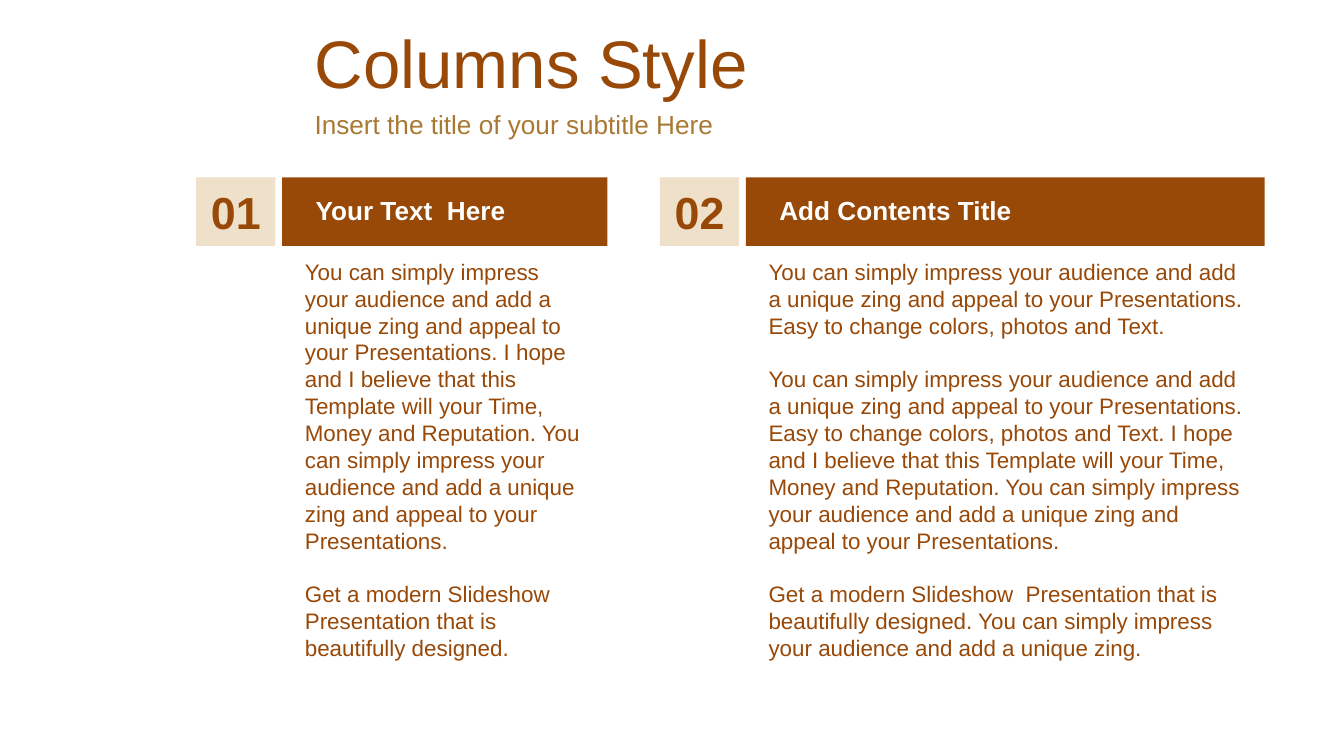
from pptx import Presentation
from pptx.dml.color import RGBColor
from pptx.enum.shapes import MSO_SHAPE
from pptx.enum.text import MSO_ANCHOR, MSO_AUTO_SIZE, PP_ALIGN
from pptx.util import Inches, Pt

RECTANGLE = MSO_SHAPE.RECTANGLE
TOP, MIDDLE = MSO_ANCHOR.TOP, MSO_ANCHOR.MIDDLE
LEFT, CENTER = PP_ALIGN.LEFT, PP_ALIGN.CENTER
NO_AUTOFIT = MSO_AUTO_SIZE.NONE

COLORS = {"brown": "984807", "gold": "A97933", "cream": "EFE0CA", "white": "FFFFFF"}
FONT = "Arial"
BAND_HEIGHT = 0.51
NUMBER_WIDTH = 0.59
BAR_OFFSET = 0.64

IMPRESS = ("You can simply impress your audience and add a unique zing "
           "and appeal to your Presentations.")
EASY = "Easy to change colors, photos and Text."
HOPE = "I hope and I believe that this Template will your Time, Money and Reputation."
MODERN = "Get a modern Slideshow  Presentation that is beautifully designed."
ZING = "You can simply impress your audience and add a unique zing."

COLUMNS = [
    {"left": 1.46, "bar_width": 2.42, "heading_width": 2.13, "body_width": 2.28,
     "number": "01", "heading": "Your Text  Here",
     "body": [f"{IMPRESS} {HOPE} {IMPRESS}", MODERN]},
    {"left": 4.91, "bar_width": 3.86, "heading_width": 2.59, "body_width": 3.78,
     "number": "02", "heading": "Add Contents Title",
     "body": [f"{IMPRESS} {EASY}", f"{IMPRESS} {EASY} {HOPE} {IMPRESS}",
              f"{MODERN} {ZING}"]},
]


def rgb(name):
    return RGBColor.from_string(COLORS[name])


def write(shape, paragraphs, size, color, bold=False, align=LEFT, anchor=TOP, gap=0):
    """Fill a shape with paragraphs, gap points apart."""
    frame = shape.text_frame
    frame.text = "\n".join(paragraphs)
    frame.word_wrap = True
    frame.auto_size = NO_AUTOFIT
    frame.vertical_anchor = anchor
    for index, paragraph in enumerate(frame.paragraphs):
        paragraph.alignment = align
        paragraph.space_before = Pt(gap if index else 0)
        for run in paragraph.runs:
            run.font.name = FONT
            run.font.size = Pt(size)
            run.font.bold = bold
            run.font.color.rgb = rgb(color)


def place(shape, left, top, width, height):
    shape.left, shape.top = Inches(left), Inches(top)
    shape.width, shape.height = Inches(width), Inches(height)


def add_block(slide, left, top, width, color):
    block = slide.shapes.add_shape(RECTANGLE, Inches(left), Inches(top),
                                   Inches(width), Inches(BAND_HEIGHT))
    block.shadow.inherit = False
    block.fill.solid()
    block.fill.fore_color.rgb = rgb(color)
    block.line.fill.background()
    return block


def add_text(slide, left, top, width, height):
    return slide.shapes.add_textbox(Inches(left), Inches(top),
                                    Inches(width), Inches(height))


def add_header(slide, left, top, width):
    title, subtitle = slide.placeholders
    place(title, left, top, width, 0.63)
    write(title, ["Columns Style"], 36, "brown", anchor=MIDDLE)
    place(subtitle, left, top + 0.63, width, 0.31)
    write(subtitle, ["Insert the title of your subtitle Here"], 14, "gold", anchor=MIDDLE)


def add_column(slide, column, top):
    left = column["left"]
    add_block(slide, left + BAR_OFFSET, top, column["bar_width"], "brown")
    number = add_block(slide, left, top, NUMBER_WIDTH, "cream")
    write(number, [column["number"]], 24, "brown", bold=True, align=CENTER, anchor=MIDDLE)
    heading = add_text(slide, left + 0.79, top + 0.08, column["heading_width"], 0.34)
    write(heading, [column["heading"]], 14, "white", bold=True)
    body = add_text(slide, left + 0.71, top + 0.55, column["body_width"], 3.13)
    write(body, column["body"], 12, "brown", gap=14.4)


def main():
    deck = Presentation()
    deck.slide_width = Inches(10)
    deck.slide_height = deck.slide_width * 9 // 16
    slide = deck.slides.add_slide(deck.slide_layouts[0])
    add_header(slide, 2.24, 0.14, 7.76)
    for column in COLUMNS:
        add_column(slide, column, 1.32)
    deck.save("out.pptx")


if __name__ == "__main__":
    main()
